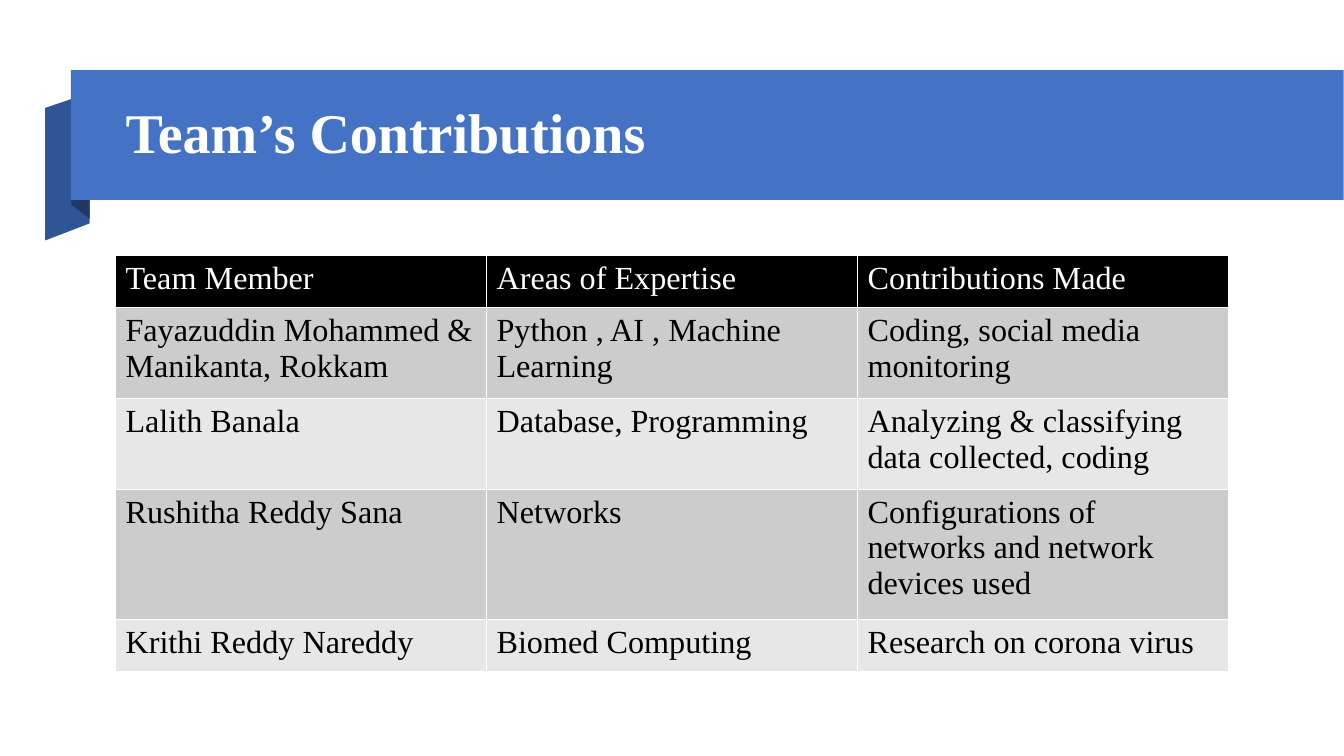
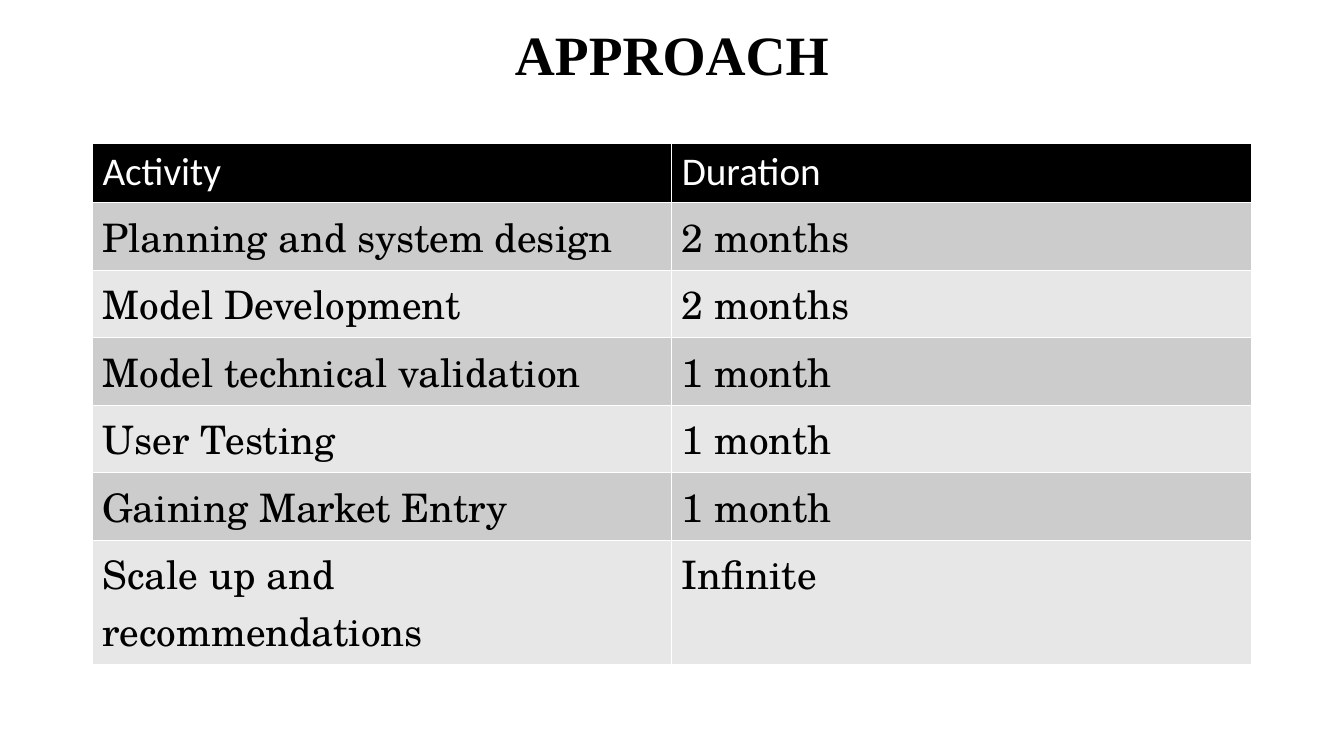
from lxml.etree import SubElement
from pptx import Presentation
from pptx.dml.color import RGBColor
from pptx.enum.shapes import MSO_SHAPE as Preset
from pptx.enum.text import MSO_ANCHOR as Anchor, PP_ALIGN as Align
from pptx.oxml import parse_xml
from pptx.oxml.ns import nsdecls, qn
from pptx.util import Cm, Pt

COLORS = {
    "white": "FFFFFF",
    "black": "000000",
    "band": "4472C4",
    "fold": "2F5597",
    "fold_shadow": "203864",
    "odd_row": "CCCCCC",
    "even_row": "E7E7E7",
}
SERIF = "Times New Roman"
SLIDE_WIDTH, SLIDE_HEIGHT = 33.87, 19.05

# All lengths are in centimetres.
BAND_BOX = (1.79, 1.77, SLIDE_WIDTH - 1.8, 3.27)
RIBBON_FOLDS = [
    ("fold", [(2.26, 5.63), (1.14, 6.06), (1.14, 2.72), (2.26, 2.34)]),
    ("fold_shadow", [(2.26, 5.51), (1.8, 5.16), (1.8, 1.78), (2.26, 2.16)]),
]

SLIDES = [
    {
        "title": "Team’s Contributions",
        "title_box": (2.92, 2.18, 28.63, 2.44),
        "title_style": {"size": 40, "color": "white"},
        "align": Align.LEFT,
        "ribbon": True,
        "table_at": (2.91, 6.44),
        "column_width": 9.35,
        "row_heights": [1.31, 2.29, 2.29, 3.28, 1.31],
        "text_size": 23,
        "header_font": SERIF,
        "body_font": SERIF,
        "rows": [
            ("Team Member", "Areas of Expertise", "Contributions Made"),
            ("Fayazuddin Mohammed &\nManikanta, Rokkam",
             "Python , AI , Machine Learning",
             "Coding, social media monitoring"),
            ("Lalith Banala", "Database, Programming",
             "Analyzing & classifying data collected, coding"),
            ("Rushitha Reddy Sana", "Networks",
             "Configurations of networks and network devices used"),
            ("Krithi Reddy Nareddy", "Biomed Computing",
             "Research on corona virus"),
        ],
    },
    {
        "title": "APPROACH",
        "title_box": (2.33, 0.5, 29.21, 1.88),
        "title_style": {"size": 39.6, "color": "black"},
        "align": Align.CENTER,
        "ribbon": False,
        "table_at": (2.33, 3.61),
        "column_width": 14.6,
        "row_heights": [1.5] + [1.7] * 5 + [3.13],
        "text_size": 28,
        "header_font": "Calibri",
        "body_font": "TeX Gyre Schola",
        "rows": [
            ("Activity", "Duration"),
            ("Planning and system design", "2 months"),
            ("Model Development", "2 months"),
            ("Model technical validation", "1 month"),
            ("User Testing", "1 month"),
            ("Gaining Market Entry", "1 month"),
            ("Scale up and recommendations", "Infinite"),
        ],
    },
]


def rgb(name):
    return RGBColor.from_string(COLORS[name])


def in_cm(lengths):
    return [Cm(length) for length in lengths]


def paint(shape, color):
    """Give a shape a flat fill without outline or shadow."""
    shape.fill.solid()
    shape.fill.fore_color.rgb = rgb(color)
    shape.line.fill.background()
    shape.shadow.inherit = False


def add_run(paragraph, text, font, size, color, bold=False):
    run = paragraph.add_run()
    run.text = text
    run.font.name = font
    run.font.size = Pt(size)
    run.font.bold = bold
    run.font.color.rgb = rgb(color)


def add_ribbon(slide):
    for color, corners in RIBBON_FOLDS:
        start, *others = [in_cm(corner) for corner in corners]
        builder = slide.shapes.build_freeform(*start)
        builder.add_line_segments(others, close=True)
        paint(builder.convert_to_shape(), color)
    paint(slide.shapes.add_shape(Preset.RECTANGLE, *in_cm(BAND_BOX)), "band")


def add_title(slide, content):
    frame = slide.shapes.add_textbox(*in_cm(content["title_box"])).text_frame
    frame.word_wrap = True
    frame.vertical_anchor = Anchor.MIDDLE
    paragraph = frame.paragraphs[0]
    paragraph.alignment = content["align"]
    paragraph.line_spacing = 0.9
    add_run(paragraph, content["title"], SERIF, bold=True, **content["title_style"])


def add_borders(cell, color="white", width=Pt(1)):
    properties = cell._tc.get_or_add_tcPr()
    for index, side in enumerate(("lnL", "lnR", "lnT", "lnB")):
        border = parse_xml(f'<a:{side} {nsdecls("a")} w="{width}"/>')
        fill = SubElement(border, qn("a:solidFill"))
        SubElement(fill, qn("a:srgbClr"), val=COLORS[color])
        properties.insert(index, border)


def fill_cell(cell, text, font, size, text_color, fill_color):
    cell.fill.solid()
    cell.fill.fore_color.rgb = rgb(fill_color)
    add_borders(cell)
    frame = cell.text_frame
    for index, line in enumerate(text.split("\n")):
        paragraph = frame.add_paragraph() if index else frame.paragraphs[0]
        add_run(paragraph, line, font, size, text_color)


def add_table(slide, content):
    rows, heights = content["rows"], content["row_heights"]
    column_count = len(rows[0])
    size = (content["column_width"] * column_count, sum(heights))
    box = in_cm(content["table_at"] + size)
    table = slide.shapes.add_table(len(rows), column_count, *box).table
    for column in table.columns:
        column.width = Cm(content["column_width"])
    for row_index, (texts, height) in enumerate(zip(rows, heights)):
        table.rows[row_index].height = Cm(height)
        if row_index == 0:
            font, text_color, fill_color = content["header_font"], "white", "black"
        else:
            font, text_color = content["body_font"], "black"
            fill_color = "odd_row" if row_index % 2 else "even_row"
        for column_index, text in enumerate(texts):
            fill_cell(table.cell(row_index, column_index), text, font,
                      content["text_size"], text_color, fill_color)


def main():
    presentation = Presentation()
    presentation.slide_width = Cm(SLIDE_WIDTH)
    presentation.slide_height = Cm(SLIDE_HEIGHT)
    blank = presentation.slide_layouts[6]
    for content in SLIDES:
        slide = presentation.slides.add_slide(blank)
        if content["ribbon"]:
            add_ribbon(slide)
        add_title(slide, content)
        add_table(slide, content)
    presentation.save("out.pptx")


if __name__ == "__main__":
    main()
